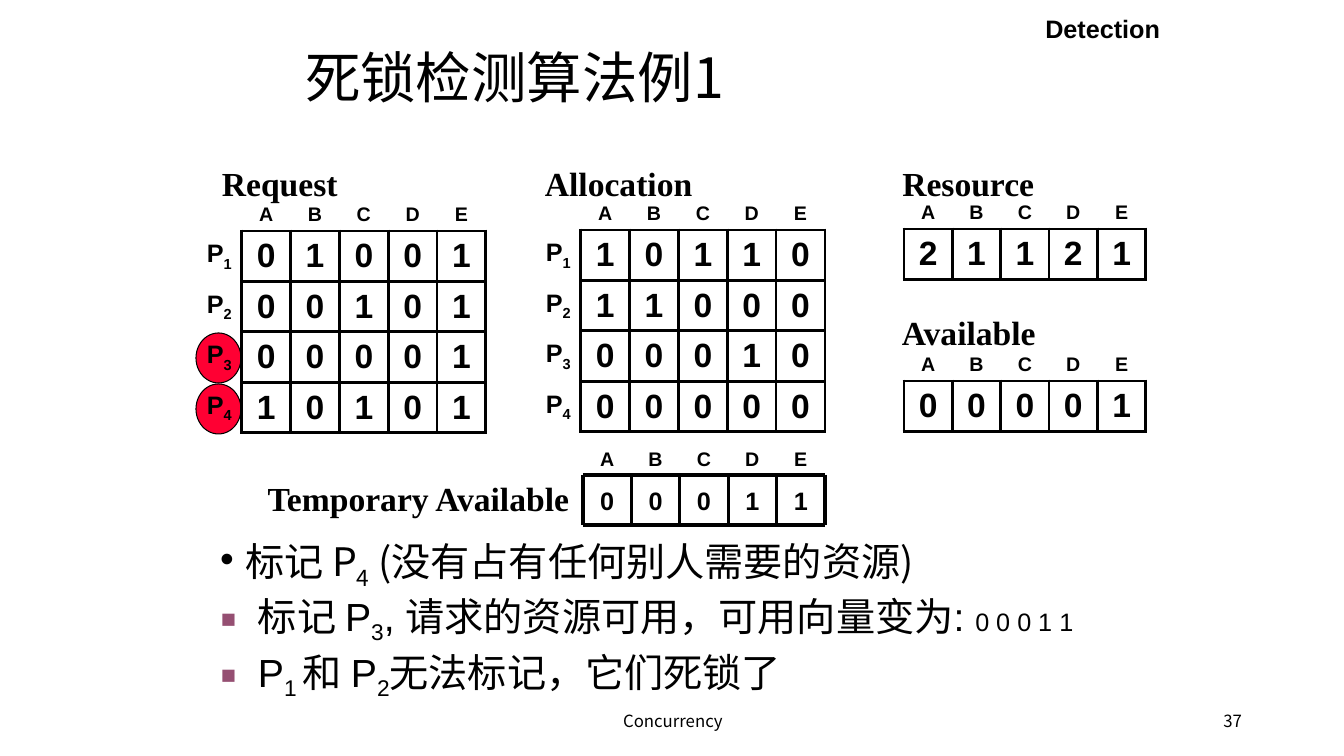
import pptx
import pptx.dml.color
import pptx.enum.shapes
import pptx.enum.text
import pptx.oxml
import pptx.oxml.ns
import pptx.util

# Content: sizes in px, text runs as (text, options)
SLIDE_SIZE = (1344, 756)
SANS, SERIF, CJK = "Arial", "Times New Roman", "Noto Sans CJK SC"
BLACK, WHITE, RED, PLUM = "000000", "FFFFFF", "FF0033", "954F72"
RESOURCES = "ABCDE"
TITLE = "死锁检测算法例1"

# (left, top, width, header height, has process labels, rows)
MATRICES = [
    (904, 344, 242, 37, False, ["00001"]),
    (193, 186, 293, 45, True, ["01001", "00101", "00001", "10101"]),
    (532, 186, 293, 44, True, ["10110", "11000", "00010", "00000"]),
    (904, 196, 242, 33, False, ["21121"]),
]
ROW_HEIGHT = 50.4
TEMPORARY = "00011"
TEMPORARY_BOX = (583, 475, 242, 50)
LABEL_HEIGHT = 35
MARKED_PROCESSES = [(196, 333, 45, 50), (196, 384, 45, 50)]

# (text, box, size, font, bold, alignment, anchor)
CAPTIONS = [
    ("Concurrency", (446, 701, 454, 40), 12, CJK, False, "CENTER", "MIDDLE"),
    ("37", (950, 701, 302, 40), 12, CJK, False, "RIGHT", "MIDDLE"),
    ("Temporary Available", (238, 473, 341, 50), 24, SERIF, True, "RIGHT", "TOP"),
    ("Request", (212, 158, 177, 50), 24, SERIF, True, "LEFT", "TOP"),
    ("Allocation", (535, 158, 177, 50), 24, SERIF, True, "LEFT", "TOP"),
    ("Available", (892, 307, 174, 50), 24, SERIF, True, "LEFT", "TOP"),
    ("Resource", (870, 158, 174, 50), 24, SERIF, True, "RIGHT", "TOP"),
    ("Detection", (881, 8, 289, 40), 18, SANS, True, "RIGHT", "TOP"),
]
SUB = {"sub": True}
FIRST_STEP = [("标记 P", {}), ("4", SUB), (" (没有占有任何别人需要的资源)", {})]
NEXT_STEPS = [
    ((210, 587, 932, 56), [("标记 P", {}), ("3", SUB), (", ", {}),
                           ("请求的资源可用，可用向量变为", {"font": CJK}),
                           (": ", {}), ("0 0 0 1 1", {"size": 18})]),
    ((210, 643, 932, 66), [("P", {}), ("1 ", SUB), ("和 P", {}), ("2", SUB),
                           ("无法标记，它们死锁了", {})]),
]


def px(length):
    return pptx.util.Emu(round(length * 914400 / 100.8))


def place(box):
    return [px(length) for length in box]


def colour(hex_string):
    return pptx.dml.color.RGBColor.from_string(hex_string)


def set_font(font, size, name, bold=False):
    font.size, font.name, font.bold = pptx.util.Pt(size), name, bold
    font.color.rgb = colour(BLACK)


def add_runs(paragraph, runs):
    for text, options in runs:
        run = paragraph.add_run()
        run.text = text
        if "size" in options:
            run.font.size = pptx.util.Pt(options["size"])
        if "font" in options:
            run.font.name = options["font"]
        if "sub" in options:
            run.font._element.set("baseline", "-25000")


def write(frame, runs, size, name, bold=False, align="CENTER", anchor="MIDDLE"):
    paragraph = frame.paragraphs[0]
    paragraph.alignment = getattr(pptx.enum.text.PP_ALIGN, align)
    add_runs(paragraph, runs)
    set_font(paragraph.font, size, name, bold)
    frame.word_wrap = True
    frame.vertical_anchor = getattr(pptx.enum.text.MSO_ANCHOR, anchor)


def add_xml(parent, xml):
    namespace = pptx.oxml.ns.nsdecls("a")
    parent.append(pptx.oxml.parse_xml(xml.replace("/>", f" {namespace}/>", 1)
                                      if xml.endswith("/>") and xml.count("<") == 1
                                      else xml.replace(">", f" {namespace}>", 1)))


def add_bullet(paragraph, char, indent, hex_string, percent):
    properties = paragraph._p.get_or_add_pPr()
    properties.set("marL", str(px(indent)))
    properties.set("indent", str(-px(indent)))
    add_xml(properties, f'<a:buClr><a:srgbClr val="{hex_string}"/></a:buClr>')
    add_xml(properties, f'<a:buSzPct val="{percent * 1000}"/>')
    add_xml(properties, '<a:buFont typeface="Arial"/>')
    add_xml(properties, f'<a:buChar char="{char}"/>')


def add_caption(shapes, text, box, *style):
    write(shapes.add_textbox(*place(box)).text_frame, [(text, {})], *style)


def fill_cell(cell, runs, size, borders, align="CENTER", anchor="MIDDLE", fill=None):
    for side in borders:
        add_xml(cell._tc.get_or_add_tcPr(),
                f'<a:ln{side} w="28575"><a:solidFill><a:srgbClr val="{BLACK}"/>'
                f'</a:solidFill></a:ln{side}>')
    if fill:
        cell.fill.solid()
        cell.fill.fore_color.rgb = colour(fill)
    else:
        cell.fill.background()
    paragraph = cell.text_frame.paragraphs[0]
    paragraph.alignment = getattr(pptx.enum.text.PP_ALIGN, align)
    add_runs(paragraph, runs)
    set_font(paragraph.font, size, SANS, True)
    cell.vertical_anchor = getattr(pptx.enum.text.MSO_ANCHOR, anchor)


def add_matrix(shapes, left, top, width, header_height, labelled, rows):
    first = int(labelled)
    columns = len(RESOURCES) + first
    height = header_height + ROW_HEIGHT * len(rows)
    matrix = shapes.add_table(len(rows) + 1, columns,
                              *place((left, top, width, height))).table
    matrix.first_row = matrix.horz_banding = False
    style = matrix._tbl.tblPr.find(pptx.oxml.ns.qn("a:tableStyleId"))
    style.text = "{2D5ABB26-0587-4C30-8999-92F81FD0307C}"
    for column in matrix.columns:
        column.width = px(width / columns)
    for number, row in enumerate(matrix.rows):
        row.height = px(ROW_HEIGHT if number else header_height)
    if labelled:
        fill_cell(matrix.cell(0, 0), [], 14, "")
    for column, resource in enumerate(RESOURCES, first):
        fill_cell(matrix.cell(0, column), [(resource, {})], 14, "B", anchor="BOTTOM")
    for number, digits in enumerate(rows, 1):
        if labelled:
            fill_cell(matrix.cell(number, 0), [("P", {}), (str(number), SUB)],
                      18, "R", align="RIGHT")
        for column, digit in enumerate(digits, first):
            fill_cell(matrix.cell(number, column), [(digit, {})], 24, "LRTB", fill=WHITE)


def add_preset(shapes, kind, box, fill):
    shape = shapes.add_shape(getattr(pptx.enum.shapes.MSO_SHAPE, kind), *place(box))
    shape.shadow.inherit = False
    shape.fill.solid()
    shape.fill.fore_color.rgb = colour(fill)
    return shape


def add_rule(shapes, *ends):
    rule = shapes.add_connector(pptx.enum.shapes.MSO_CONNECTOR.STRAIGHT, *place(ends))
    rule.line.color.rgb = colour(BLACK)
    rule.line.width = pptx.util.Pt(2.25)
    add_xml(rule._element.spPr, "<a:effectLst/>")


def add_temporary_vector(slide):
    left, top, width, height = TEMPORARY_BOX
    step = width / len(RESOURCES)
    labels = slide.shapes.add_group_shape().shapes
    grid = slide.shapes.add_group_shape().shapes
    for column, (resource, digit) in enumerate(zip(RESOURCES, TEMPORARY)):
        x = left + column * step
        add_caption(labels, resource, (x, top - LABEL_HEIGHT, step, LABEL_HEIGHT),
                    14, SANS, True, "CENTER", "BOTTOM")
        square = add_preset(grid, "RECTANGLE", (x, top, step, height), WHITE)
        square.line.fill.background()
        write(square.text_frame, [(digit, {})], 18, SANS, True)
    for edge in range(len(RESOURCES) + 1):
        x = left + edge * step
        add_rule(grid, x, top, x, top + height)
    for y in (top, top + height):
        add_rule(grid, left, y, left + width, y)


def main():
    deck = pptx.Presentation()
    deck.slide_width, deck.slide_height = place(SLIDE_SIZE)
    slide = deck.slides.add_slide(deck.slide_layouts[1])
    title, steps = slide.placeholders

    # Title and first step
    for holder, box in ((title, (295, 42, 789, 77)), (steps, (210, 533, 966, 56))):
        holder.left, holder.top, holder.width, holder.height = place(box)
        holder.text_frame.auto_size = pptx.enum.text.MSO_AUTO_SIZE.NONE
        holder.text_frame.paragraphs[0].line_spacing = 0.9
        holder.text_frame.paragraphs[0].space_before = 0
    write(title.text_frame, [(TITLE, {})], 39.6, CJK, align="LEFT")
    add_bullet(steps.text_frame.paragraphs[0], "•", 25, BLACK, 100)
    write(steps.text_frame, FIRST_STEP, 28, CJK, align="LEFT", anchor="TOP")

    # Marked processes lie behind the matrices
    for box in MARKED_PROCESSES:
        marker = add_preset(slide.shapes, "OVAL", box, RED)
        marker.line.color.rgb = colour(BLACK)
        marker.line.width = pptx.util.Pt(0.75)
    for matrix in MATRICES:
        add_matrix(slide.shapes, *matrix)
    add_temporary_vector(slide)

    # Captions and remaining steps
    for caption in CAPTIONS:
        add_caption(slide.shapes, *caption)
    for box, runs in NEXT_STEPS:
        frame = slide.shapes.add_textbox(*place(box)).text_frame
        add_bullet(frame.paragraphs[0], "▪", 38, PLUM, 125)
        write(frame, runs, 28, SANS, align="LEFT", anchor="TOP")
    deck.save("out.pptx")


if __name__ == "__main__":
    main()
